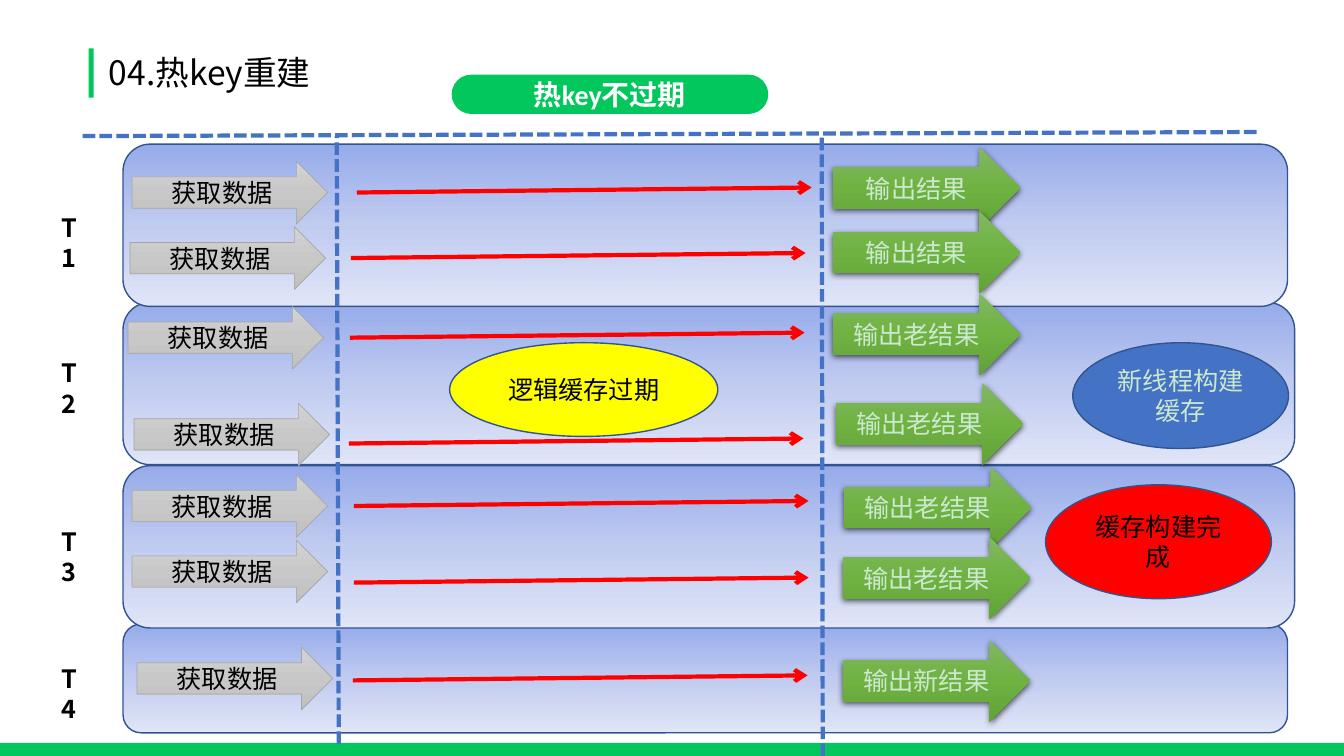
from copy import deepcopy
from dataclasses import dataclass

from pptx import Presentation
from pptx.dml.color import RGBColor
from pptx.enum.dml import MSO_LINE
from pptx.enum.shapes import MSO_CONNECTOR, MSO_SHAPE
from pptx.enum.text import MSO_ANCHOR, PP_ALIGN
from pptx.oxml import parse_xml
from pptx.oxml.ns import nsdecls, qn
from pptx.util import Inches, Pt


@dataclass(frozen=True)
class Theme:
    """Colours, fonts and sizes of the slide."""
    white: str = "FFFFFF"
    black: str = "000000"
    green: str = "01C75C"
    pale: str = "CCE8CF"
    blue: str = "4472C4"
    edge: str = "325491"
    red: str = "FF0000"
    yellow: str = "FFFF00"
    gray_edge: str = "A5A5A5"
    band_fill: tuple = ("96ABEA", "C0CBF0", "E0E5F7")
    get_fill: tuple = ("D2D2D2", "C8C8C8", "C0C0C0")
    result_fill: tuple = ("81B861", "6FB242", "62A336")
    font: str = "Noto Sans CJK SC"
    pill_font: str = "Calibri"
    title_size: int = 24
    pill_size: int = 20
    body_size: int = 18


THEME = Theme()

BANDS = [(6.19, 11.55, 1.08), (3, 11.62, 1.61), (1.43, 11.55, 1.61), (4.62, 11.62, 1.61)]
STAGES = [("T1", 2.06), ("T2", 3.5), ("T3", 5.17), ("T4", 6.53)]
DIVIDERS = [
    ((0.82, 1.35), (12.47, 1.31)),
    ((3.36, 7.38), (3.34, 1.35)),
    ((8.16, 7.5), (8.15, 1.35)),
]
REQUESTS = [
    ((1.31, 1.6), (3.54, 1.91), (8.26, 1.46), "输出结果"),
    ((1.29, 2.25), (3.48, 2.56), (8.26, 2.1), "输出结果"),
    ((1.27, 3.04), (3.47, 3.35), (8.26, 2.91), "输出老结果"),
    ((1.33, 4), (3.46, 4.4), (8.29, 3.8), "输出老结果"),
    ((1.31, 4.71), (3.51, 5.02), (8.37, 4.63), "输出老结果"),
    ((1.31, 5.36), (3.51, 5.78), (8.36, 5.33), "输出老结果"),
    ((1.36, 6.42), (3.5, 6.75), (8.36, 6.35), "输出新结果"),
]
EVENTS = [
    ("逻辑缓存过期", (4.46, 3.4, 2.66, 0.93), THEME.yellow, THEME.black),
    ("新线程构建缓存", (10.64, 3.4, 2.14, 1.05), THEME.blue, THEME.pale),
    ("缓存构建完成", (10.37, 4.81, 2.24, 1.13), THEME.red, THEME.black),
]


def write_text(shape, text, color=THEME.black, size=THEME.body_size, font=THEME.font,
               bold=False, align=PP_ALIGN.CENTER, anchor=MSO_ANCHOR.MIDDLE):
    """Put one formatted paragraph into a shape."""
    frame = shape.text_frame
    frame.word_wrap = True
    frame.vertical_anchor = anchor
    para = frame.paragraphs[0]
    para.alignment = align
    span = para.add_run()
    span.text = text
    span.font.name = font
    span.font.size = Pt(size)
    span.font.bold = bold
    span.font.color.rgb = RGBColor.from_string(color)
    east_asian = parse_xml(f'<a:ea {nsdecls("a")} typeface="{THEME.font}"/>')
    span.font._element.find(qn("a:latin")).addnext(east_asian)
    return para


def fill_shape(shape, fill):
    """Fill with one colour, or with a top-down gradient of three."""
    if isinstance(fill, str):
        shape.fill.solid()
        shape.fill.fore_color.rgb = RGBColor.from_string(fill)
        return
    shape.fill.gradient()
    shape.fill.gradient_angle = 270
    stop_list = shape._element.spPr.find(".//" + qn("a:gsLst"))
    stop_list.insert(1, deepcopy(stop_list[0]))
    for index, (stop, color) in enumerate(zip(shape.fill.gradient_stops, fill)):
        stop.position = index / 2
        stop.color.rgb = RGBColor.from_string(color)


def add_figure(page, kind, place, fill, edge=None, edge_width=1):
    """Add a preset shape without a shadow."""
    shape = page.shapes.add_shape(kind, *map(Inches, place))
    shape.shadow.inherit = False
    fill_shape(shape, fill)
    if edge:
        shape.line.color.rgb = RGBColor.from_string(edge)
        shape.line.width = Pt(edge_width)
    else:
        shape.line.fill.background()
    return shape


def add_line(page, start, end, color):
    """Add a straight line three points wide."""
    line = page.shapes.add_connector(MSO_CONNECTOR.STRAIGHT, *map(Inches, (*start, *end)))
    line.line.color.rgb = RGBColor.from_string(color)
    line.line.width = Pt(3)
    line._element.spPr.append(parse_xml(f'<a:effectLst {nsdecls("a")}/>'))
    return line


def add_flow(page, start):
    """Add a slightly rising red arrow."""
    left, top = start
    flow = add_line(page, start, (left + 4.51, top - 0.05), THEME.red)
    flow.line._get_or_add_ln().append(parse_xml(f'<a:tailEnd {nsdecls("a")} type="arrow"/>'))


def add_get(page, place):
    """Add a gray block arrow for a data request."""
    arrow = add_figure(page, MSO_SHAPE.RIGHT_ARROW, (*place, 1.94, 0.62),
                       THEME.get_fill, THEME.gray_edge, 0.5)
    write_text(arrow, "获取数据")


def add_result(page, place, text):
    """Add a green block arrow with a soft shadow."""
    arrow = add_figure(page, MSO_SHAPE.RIGHT_ARROW, (*place, 1.86, 0.81), THEME.result_fill)
    arrow._element.spPr.find(qn("a:effectLst")).append(parse_xml(
        f'<a:outerShdw {nsdecls("a")} blurRad="{Pt(4.5)}" dist="{Pt(1.5)}" dir="5400000" '
        f'algn="ctr" rotWithShape="0"><a:srgbClr val="{THEME.black}">'
        '<a:alpha val="63000"/></a:srgbClr></a:outerShdw>'))
    write_text(arrow, text, color=THEME.pale)


def add_heading(page):
    """Place the title and the green pill beside it."""
    title = page.shapes.title
    title.left, title.top, title.width, title.height = map(Inches, (0.98, 0.52, 12.35, 0.43))
    para = write_text(title, "04.热key重建", size=THEME.title_size, align=PP_ALIGN.LEFT)
    para.line_spacing = 0.9
    pill = add_figure(page, MSO_SHAPE.ROUNDED_RECTANGLE, (4.48, 0.74, 3.14, 0.39), THEME.green)
    pill.adjustments[0] = 0.5
    frame = pill.text_frame
    frame.margin_left = frame.margin_right = Inches(0.04)
    frame.margin_top = frame.margin_bottom = 0
    write_text(pill, "热key不过期", color=THEME.white, size=THEME.pill_size,
               font=THEME.pill_font, bold=True)


def add_stage(page, text, top):
    """Add a bold time label left of its band."""
    box = page.shapes.add_textbox(*map(Inches, (0.51, top, 0.48, 0.4)))
    write_text(box, text, bold=True, align=PP_ALIGN.LEFT, anchor=MSO_ANCHOR.TOP)


def main():
    """Build the slide and save it."""
    deck = Presentation()
    deck.slide_width, deck.slide_height = Inches(13.33), Inches(7.5)
    page = deck.slides.add_slide(deck.slide_layouts[5])
    page.background.fill.solid()
    page.background.fill.fore_color.rgb = RGBColor.from_string(THEME.white)
    for place in ((0.88, 0.48, 0.05, 0.49), (0, 7.37, 13.33, 0.13)):
        add_figure(page, MSO_SHAPE.RECTANGLE, place, THEME.green)
    for top, width, height in BANDS:
        add_figure(page, MSO_SHAPE.ROUNDED_RECTANGLE, (1.22, top, width, height),
                   THEME.band_fill, THEME.edge)
    add_heading(page)
    for start, end in DIVIDERS:
        add_line(page, start, end, THEME.blue).line.dash_style = MSO_LINE.SQUARE_DOT
    for text, top in STAGES:
        add_stage(page, text, top)
    for get_place, flow_start, result_place, result in REQUESTS:
        add_get(page, get_place)
        add_flow(page, flow_start)
        add_result(page, result_place, result)
    for text, place, fill, color in EVENTS:
        event = add_figure(page, MSO_SHAPE.OVAL, place, fill, THEME.edge)
        write_text(event, text, color=color)
    deck.save("out.pptx")


if __name__ == "__main__":
    main()
